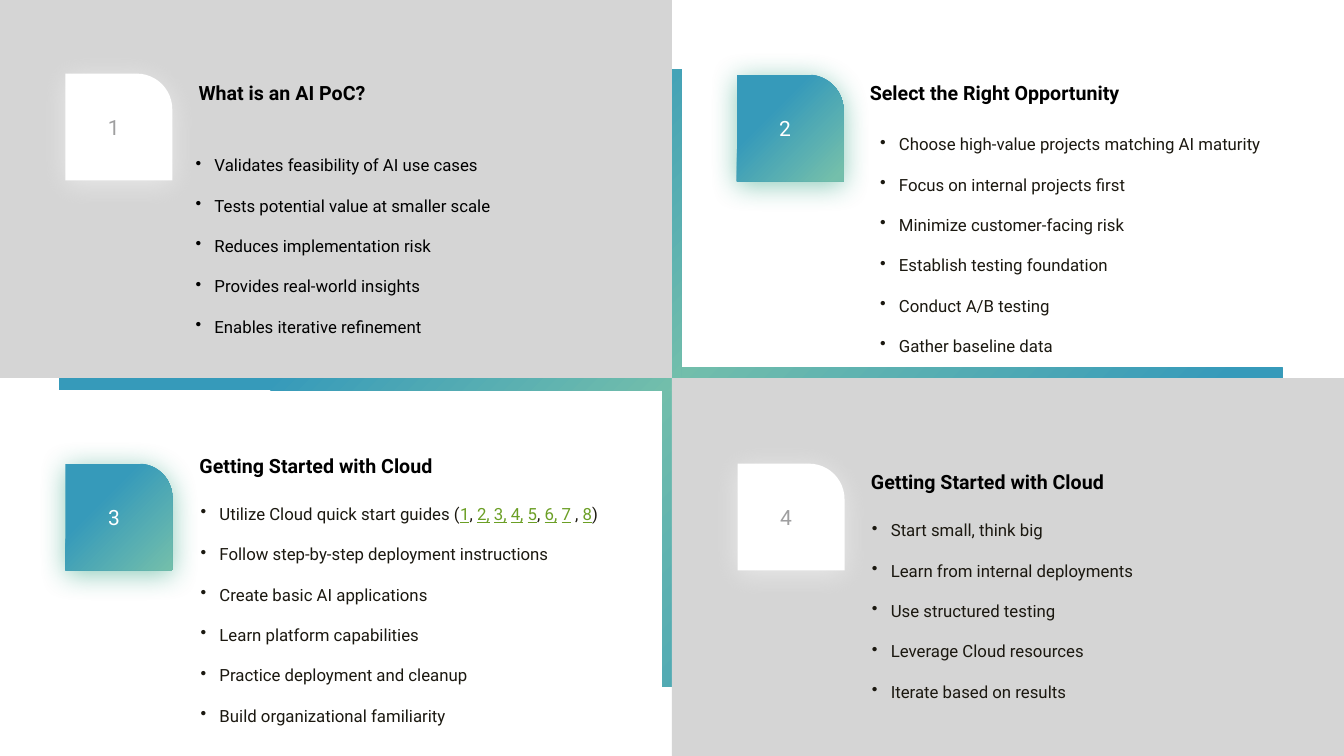
import pptx
import pptx.dml.color
import pptx.enum.shapes
import pptx.enum.text
import pptx.oxml
import pptx.oxml.ns
import pptx.util
import lxml.etree

Pt = pptx.util.Pt
RGBColor = pptx.dml.color.RGBColor
SHAPES = pptx.enum.shapes.MSO_SHAPE

GREEN = RGBColor(0x74, 0xBF, 0xAB)
BLUE = RGBColor(0x36, 0x9A, 0xBA)
GREY = RGBColor(0xD5, 0xD5, 0xD5)
NUMBER_GREY = RGBColor(0x9F, 0x9F, 0xA0)
WHITE = RGBColor(0xFF, 0xFF, 0xFF)
BLACK = RGBColor(0x00, 0x00, 0x00)
INK = RGBColor(0x1B, 0x18, 0x10)
LINK = RGBColor(0x6B, 0x9F, 0x25)
GLOW = RGBColor(0x1D, 0x9A, 0x78)

FONT = "Roboto"
HALF_WIDTH, HALF_HEIGHT = 480, 270
TILE = 76.3
INDENT = Pt(13.5)

presentation = pptx.Presentation()
presentation.slide_width = Pt(2 * HALF_WIDTH)
presentation.slide_height = Pt(2 * HALF_HEIGHT)
slide = presentation.slides.add_slide(presentation.slide_layouts[6])


def add_filled(kind, box, stops):
    """Add a borderless shape; one stop is a solid fill, two are a gradient."""
    shape = slide.shapes.add_shape(kind, *map(Pt, box))
    shape.shadow.inherit = False
    shape.line.fill.background()
    if len(stops) == 1:
        shape.fill.solid()
        shape.fill.fore_color.rgb = stops[0][1]
    else:
        shape.fill.gradient()
        shape.fill.gradient_angle = 315
        for stop, (position, color) in zip(shape.fill.gradient_stops, stops):
            stop.position = position
            stop.color.rgb = color
    return shape


def add_text(box, lines, size, color, spacing, insets, bold=False, bullets=False):
    """Add a text box; every second piece between bars is a link-styled run."""
    frame = slide.shapes.add_textbox(*map(Pt, box)).text_frame
    frame.word_wrap = True
    frame.auto_size = pptx.enum.text.MSO_AUTO_SIZE.SHAPE_TO_FIT_TEXT
    (frame.margin_left, frame.margin_top,
     frame.margin_right, frame.margin_bottom) = map(Pt, insets)
    for index, line in enumerate(lines):
        paragraph = frame.add_paragraph() if index else frame.paragraphs[0]
        if bullets:
            properties = paragraph._p.get_or_add_pPr()
            properties.set("marL", str(INDENT))
            properties.set("indent", str(-INDENT))
            bullet = lxml.etree.SubElement(properties, pptx.oxml.ns.qn("a:buChar"))
            bullet.set("char", "•")
        paragraph.line_spacing = spacing
        paragraph.font.name = FONT
        paragraph.font.size = Pt(size)
        paragraph.font.bold = bold
        paragraph.font.color.rgb = color
        for piece_index, piece in enumerate(line.split("|")):
            run = paragraph.add_run()
            run.text = piece
            if piece_index % 2:
                run.font.underline = True
                run.font.color.rgb = LINK


# Gradient frames, showing as strips beside the grey quadrants
add_filled(SHAPES.RECTANGLE, (473, 262.8, 443, 227.5), [(0, GREEN), (0.62, BLUE)])
add_filled(SHAPES.RECTANGLE, (41.8, 49.7, 445, 229), [(0.55, BLUE), (1, GREEN)])

# Grey quadrants
for step in range(2):
    add_filled(SHAPES.RECTANGLE,
               (step * HALF_WIDTH, step * HALF_HEIGHT, HALF_WIDTH, HALF_HEIGHT),
               [(0, GREY)])

# Per quadrant: title, title box, bullet box, bullet colour, bullets,
# tile position, tile rounding, tile fill stops
quadrants = [
    ("What is an AI PoC?", (137.5, 50.4, 237.6, 61.9),
     (137.5, 92.9, 321, 148.3), BLACK,
     ["Validates feasibility of AI use cases",
      "Tests potential value at smaller scale",
      "Reduces implementation risk",
      "Provides real-world insights",
      "Enables iterative refinement"],
     (46.8, 52.6), 0.333, [(0, WHITE)]),
    ("Select the Right Opportunity", (617, 50.4, 275.8, 26.6),
     (626.4, 77.8, 301.7, 177.8), INK,
     ["Choose high-value projects matching AI maturity",
      "Focus on internal projects first",
      "Minimize customer-facing risk",
      "Establish testing foundation",
      "Conduct A/B testing",
      "Gather baseline data"],
     (526.3, 53.3), 0.336, [(0.05, GREEN), (0.67, BLUE)]),
    ("Getting Started with Cloud", (138.2, 316.8, 195.8, 26.6),
     (141.1, 342, 307.4, 177.8), INK,
     ["Utilize Cloud quick start guides "
      "(|1|, |2,| |3,| |4,| |5|, |6,| |7| , |8|)",
      "Follow step-by-step deployment instructions",
      "Create basic AI applications",
      "Learn platform capabilities",
      "Practice deployment and cleanup",
      "Build organizational familiarity"],
     (46.8, 331.2), 0.316, [(0, GREEN), (0.67, BLUE)]),
    ("Getting Started with Cloud", (617.8, 328.3, 195.8, 26.6),
     (620.6, 353.5, 279.4, 148.3), INK,
     ["Start small, think big",
      "Learn from internal deployments",
      "Use structured testing",
      "Leverage Cloud resources",
      "Iterate based on results"],
     (527, 331.2), 0.333, [(0, WHITE)]),
]

for number, (title, title_box, bullet_box, bullet_color, bullets,
             position, rounding, stops) in enumerate(quadrants, start=1):
    add_text(bullet_box, bullets, 12, bullet_color, 2.0, (2.2, 3.6, 7.2, 3.6),
             bullets=True)
    add_text(title_box, [title], 14, BLACK, 1.2, (4.3, 4.3, 4.3, 4.3), bold=True)

    # Numbered tile
    tile = add_filled(SHAPES.ROUND_1_RECTANGLE, (*position, TILE, TILE), stops)
    tile.adjustments[0] = rounding
    properties = tile._element.spPr
    colored = len(stops) > 1

    # Gradient spreading from the bottom right corner
    if colored:
        linear = properties.find(".//" + pptx.oxml.ns.qn("a:lin"))
        linear.getparent().replace(linear, pptx.oxml.parse_xml(
            f'<a:path {pptx.oxml.ns.nsdecls("a")} path="circle">'
            '<a:fillToRect l="100000" t="100000"/></a:path>'))

    # Soft glow below the tile
    effects = properties.find(pptx.oxml.ns.qn("a:effectLst"))
    effects.append(pptx.oxml.parse_xml(
        f'<a:outerShdw {pptx.oxml.ns.nsdecls("a")} blurRad="{Pt(20)}" '
        f'dist="{Pt(3)}" dir="5400000" algn="t" rotWithShape="0">'
        f'<a:srgbClr val="{GLOW if colored else WHITE}">'
        '<a:alpha val="50000"/></a:srgbClr></a:outerShdw>'))

    tile.text_frame.vertical_anchor = pptx.enum.text.MSO_ANCHOR.MIDDLE
    paragraph = tile.text_frame.paragraphs[0]
    paragraph.text = str(number)
    paragraph.alignment = pptx.enum.text.PP_ALIGN.CENTER
    paragraph.font.name = FONT
    paragraph.font.size = Pt(15)
    paragraph.font.color.rgb = WHITE if colored else NUMBER_GREY

presentation.save("out.pptx")
